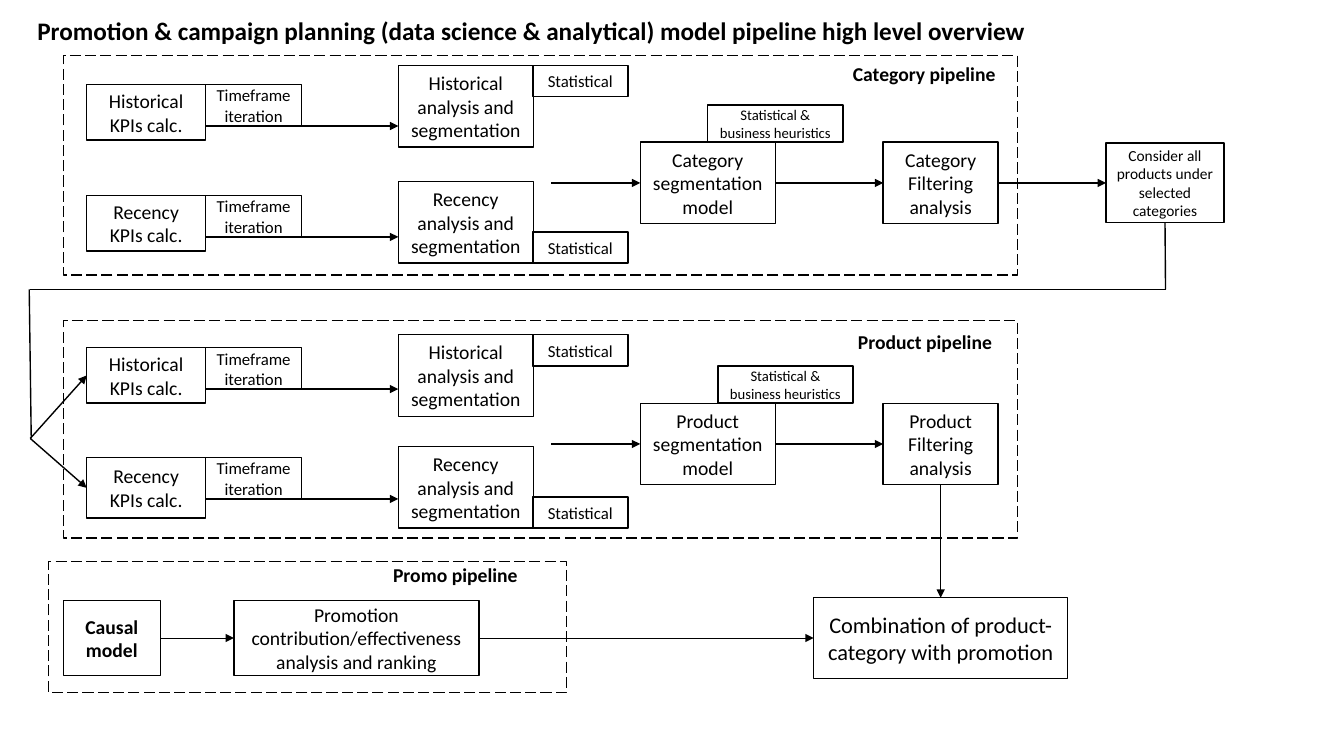
from dataclasses import dataclass

from lxml.etree import SubElement
from pptx import Presentation
from pptx.dml.color import RGBColor
from pptx.enum.dml import MSO_LINE
from pptx.enum.shapes import MSO_CONNECTOR, MSO_SHAPE
from pptx.enum.text import MSO_ANCHOR, MSO_AUTO_SIZE, PP_ALIGN
from pptx.oxml.ns import qn
from pptx.shapes.autoshape import Shape
from pptx.shapes.connector import Connector
from pptx.slide import Slide
from pptx.text.text import TextFrame
from pptx.util import Inches, Pt


@dataclass(frozen=True)
class Theme:
    font: str = "Calibri"
    ink: RGBColor = RGBColor(0, 0, 0)
    title: float = 18
    large: float = 16
    body: float = 14
    tag: float = 12
    note: float = 11
    small: float = 10.5
    line: float = 1
    thin: float = 0.5


THEME = Theme()
TOP, LEFT, BOTTOM, RIGHT = range(4)


@dataclass(frozen=True)
class Box:
    x: float
    y: float
    w: float
    h: float
    text: str = ""
    size: float = THEME.body
    bold: bool = False
    dash: bool = False


@dataclass(frozen=True)
class Row:
    name: str
    top: float      # KPI box and its timeframe tag
    high: float     # KPI box height
    stage: float    # top of the analysis box
    drop: float     # statistical tag, below the stage top


@dataclass(frozen=True)
class Pipe:
    name: str
    frame: Box
    label: Box
    rows: tuple[Row, ...]
    model: float    # top of the model and filter boxes
    hint: float     # left of the heuristics tag


PIPES = (
    Pipe("Category", Box(0.63, 0.55, 9.46, 2.18, dash=True),
         Box(8.36, 0.57, 2.19, 0.34, "Category pipeline", bold=True),
         (Row("Historical", 0.84, 0.55, 0.65, 0), Row("Recency", 1.94, 0.55, 1.8, 0.5)),
         1.41, 7.02),
    Pipe("Product", Box(0.63, 3.18, 9.46, 2.16, dash=True),
         Box(8.41, 3.22, 2.19, 0.34, "Product pipeline", bold=True),
         (Row("Historical", 3.45, 0.55, 3.32, 0), Row("Recency", 4.54, 0.6, 4.43, 0.5)),
         4, 7.12),
)


def write(frame: TextFrame, box: Box, align: PP_ALIGN) -> None:
    frame.word_wrap = True
    for i, words in enumerate(box.text.split("\n")):
        para = frame.add_paragraph() if i else frame.paragraphs[0]
        para.alignment = align
        run = para.add_run()
        run.text = words
        run.font.name = THEME.font
        run.font.size = Pt(box.size)
        run.font.bold = box.bold
        run.font.color.rgb = THEME.ink


def draw(slide: Slide, box: Box) -> Shape:
    shape = slide.shapes.add_shape(MSO_SHAPE.RECTANGLE, Inches(box.x), Inches(box.y),
                                   Inches(box.w), Inches(box.h))
    shape.shadow.inherit = False
    shape.fill.background()
    shape.line.color.rgb = THEME.ink
    shape.line.width = Pt(THEME.line)
    if box.dash:
        shape.line.dash_style = MSO_LINE.LONG_DASH
    if box.text:
        shape.text_frame.vertical_anchor = MSO_ANCHOR.MIDDLE
        write(shape.text_frame, box, PP_ALIGN.CENTER)
    return shape


def label(slide: Slide, box: Box) -> None:
    shape = slide.shapes.add_textbox(Inches(box.x), Inches(box.y),
                                     Inches(box.w), Inches(box.h))
    shape.text_frame.auto_size = MSO_AUTO_SIZE.SHAPE_TO_FIT_TEXT
    write(shape.text_frame, box, PP_ALIGN.LEFT)


def rule(slide: Slide, x1: float, y1: float, x2: float, y2: float,
         head: bool = True, width: float = THEME.line) -> Connector:
    line = slide.shapes.add_connector(MSO_CONNECTOR.STRAIGHT, Inches(x1), Inches(y1),
                                      Inches(x2), Inches(y2))
    line.line.color.rgb = THEME.ink
    line.line.width = Pt(width)
    props = line.element.spPr
    if head:
        SubElement(props.find(qn("a:ln")), qn("a:tailEnd"), {"type": "triangle"})
    SubElement(props, qn("a:effectLst"))
    return line


def link(slide: Slide, start: Shape, out: int, end: Shape, into: int,
         width: float = THEME.line) -> None:
    line = rule(slide, 0, 0, 1, 1, width=width)
    line.begin_connect(start, out)
    line.end_connect(end, into)


def build(slide: Slide, pipe: Pipe) -> tuple[list[Shape], Shape]:
    """Draw one pipeline; return its KPI boxes and its filter box."""
    draw(slide, pipe.frame)
    label(slide, pipe.label)
    starts = []
    for row in pipe.rows:
        starts.append(draw(slide, Box(0.86, row.top, 1.18, row.high, f"{row.name} KPIs calc.")))
        time = draw(slide, Box(2.04, row.top, 0.95, 0.41, "Timeframe iteration", THEME.tag))
        draw(slide, Box(3.95, row.stage, 1.34, 0.81, f"{row.name} analysis and segmentation"))
        draw(slide, Box(5.28, row.stage + row.drop, 0.95, 0.31, "Statistical", THEME.tag))
        base = row.top + 0.41
        rule(slide, 2.51, base, 3.95, base).begin_connect(time, BOTTOM)
    model = draw(slide, Box(6.35, pipe.model, 1.34, 0.81, f"{pipe.name} segmentation model"))
    last = draw(slide, Box(8.76, pipe.model, 1.14, 0.81, f"{pipe.name} Filtering analysis"))
    draw(slide, Box(pipe.hint, pipe.model - 0.37, 1.34, 0.37,
                    "Statistical &\nbusiness heuristics", THEME.small))
    mid = pipe.model + 0.405
    rule(slide, 5.47, mid, 6.35, mid).end_connect(model, LEFT)
    link(slide, model, RIGHT, last, LEFT)
    return starts, last


def main() -> None:
    deck = Presentation()
    deck.slide_width, deck.slide_height = Inches(13.33), Inches(7.5)
    slide = deck.slides.add_slide(deck.slide_layouts[5])

    # Title
    title = slide.shapes.title
    title.left, title.top = Inches(0.27), Inches(0.1)
    title.width, title.height = Inches(10.54), Inches(0.4)
    title.text_frame.auto_size = MSO_AUTO_SIZE.NONE
    title.text_frame.vertical_anchor = MSO_ANCHOR.TOP
    write(title.text_frame, Box(0, 0, 0, 0, "Promotion & campaign planning (data science & analytical) "
                                "model pipeline high level overview", THEME.title, True),
          PP_ALIGN.LEFT)

    # Category and product pipelines
    (_, chosen), (starts, final) = [build(slide, pipe) for pipe in PIPES]

    # Path from the selected categories to the product pipeline
    goods = draw(slide, Box(10.97, 1.42, 1.17, 0.79,
                            "Consider all products under selected categories", THEME.note))
    link(slide, chosen, RIGHT, goods, LEFT)
    rule(slide, 11.56, 2.21, 11.56, 2.87, head=False).begin_connect(goods, BOTTOM)
    rule(slide, 11.56, 2.87, 0.3, 2.87, head=False)
    rule(slide, 0.29, 2.87, 0.31, 4.35, head=False)
    for start in starts:
        rule(slide, 0.3, 4.35, 0.86, 4.35).end_connect(start, LEFT)

    # Promo pipeline and the combined result
    draw(slide, Box(0.48, 5.57, 5.14, 1.3, dash=True))
    label(slide, Box(3.8, 5.54, 2.19, 0.34, "Promo pipeline", bold=True))
    cause = draw(slide, Box(0.63, 5.96, 0.96, 0.74, "Causal model", bold=True))
    promo = draw(slide, Box(2.32, 5.96, 2.43, 0.74,
                            "Promotion contribution/effectiveness analysis and ranking"))
    blend = draw(slide, Box(8.07, 5.93, 2.52, 0.8,
                            "Combination of product-category with promotion", THEME.large))
    link(slide, cause, RIGHT, promo, LEFT, THEME.thin)
    link(slide, promo, RIGHT, blend, LEFT, THEME.thin)
    link(slide, final, BOTTOM, blend, TOP, THEME.thin)

    deck.save("out.pptx")


if __name__ == "__main__":
    main()
